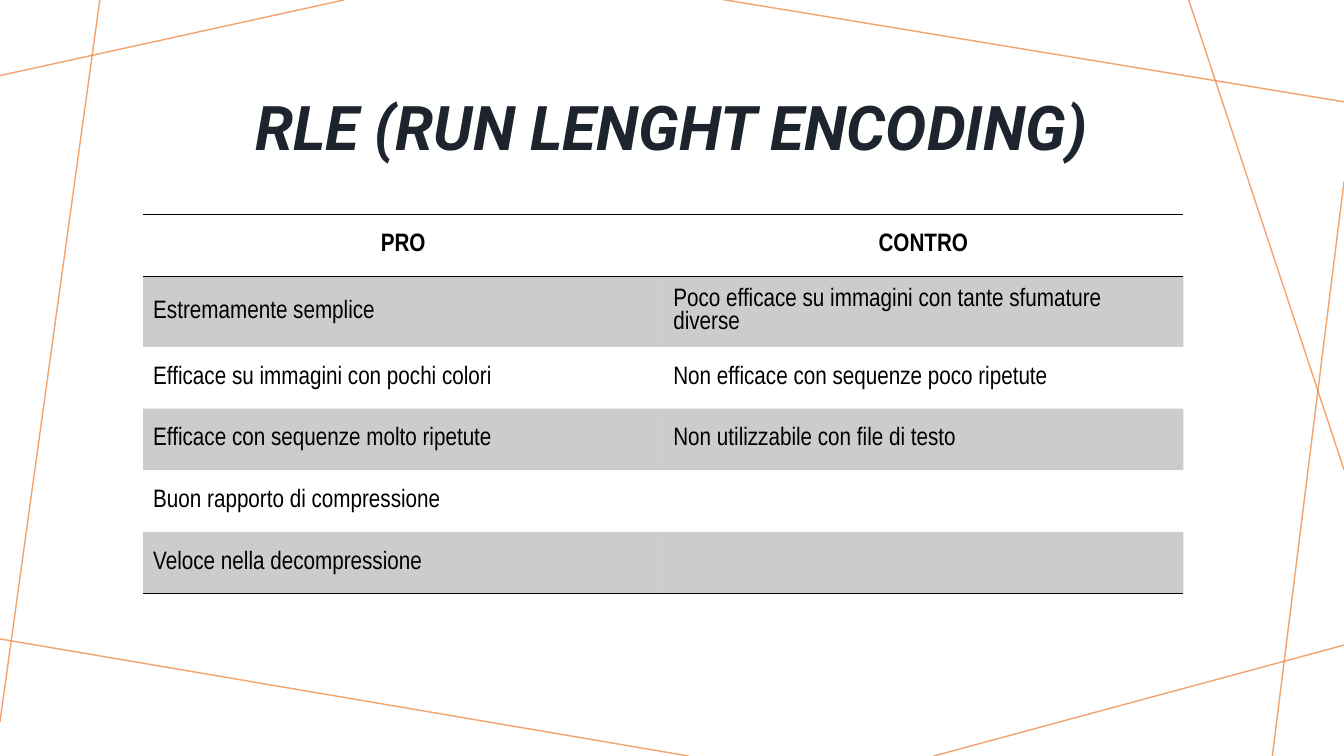
from dataclasses import dataclass

from lxml.etree import SubElement
from pptx import Presentation
from pptx.dml.color import RGBColor
from pptx.enum.shapes import MSO_CONNECTOR
from pptx.enum.text import MSO_ANCHOR, PP_ALIGN
from pptx.oxml import parse_xml
from pptx.oxml.ns import nsdecls, qn
from pptx.slide import Slide
from pptx.table import _Cell
from pptx.text.text import _Paragraph
from pptx.util import Inches, Length, Pt

PAGE_WIDTH, PAGE_HEIGHT = Inches(13.33), Inches(7.5)
PLAIN_TABLE_STYLE = "{2D5ABB26-0587-4C30-8999-92F81FD0307C}"


@dataclass(frozen=True)
class Theme:
    accent: str = "ED7D31"
    title_color: str = "1D242E"
    ink: str = "000000"
    title_font: str = "Roboto"
    table_font: str = "Arial Narrow"
    title_size: int = 44
    table_size: int = 18
    rule_width: int = 1
    accent_opacity: int = 70
    band_opacity: int = 20


@dataclass(frozen=True)
class Stroke:
    """A straight line, with its ends in percent of the page."""
    x1: float
    y1: float
    x2: float
    y2: float


@dataclass(frozen=True)
class Area:
    """A rectangle, in percent of the page."""
    left: float
    top: float
    width: float
    height: float

    def lengths(self) -> tuple[Length, Length, Length, Length]:
        return across(self.left), down(self.top), across(self.width), down(self.height)


@dataclass(frozen=True)
class Row:
    pro: str
    contro: str = ""


THEME = Theme()
TITLE = "RLE (RUN LENGHT ENCODING)"
TITLE_AREA = Area(9.38, 7.2, 81.25, 20.13)
TABLE_AREA = Area(10.65, 28.4, 77.4, 48.93)
STROKES = [
    Stroke(25.58, 0, 0, 10),
    Stroke(7.43, 0, 0, 95.47),
    Stroke(51.24, 100, -0.38, 84.4),
    Stroke(100, 85.33, 69.47, 100),
    Stroke(100, 24, 94.67, 100),
    Stroke(100, 62.13, 88.45, 0),
    Stroke(100, 13.47, 53.56, -0.13),
]
ROWS = [
    Row("PRO", "CONTRO"),
    Row("Estremamente semplice", "Poco efficace su immagini con tante sfumature diverse"),
    Row("Efficace su immagini con pochi colori", "Non efficace con sequenze poco ripetute"),
    Row("Efficace con sequenze molto ripetute", "Non utilizzabile con file di testo"),
    Row("Buon rapporto di compressione"),
    Row("Veloce nella decompressione"),
]


def across(percent: float) -> Length:
    return Length(round(PAGE_WIDTH * percent / 100))


def down(percent: float) -> Length:
    return Length(round(PAGE_HEIGHT * percent / 100))


def set_opacity(properties, percent: int) -> None:
    color = properties.find(".//" + qn("a:srgbClr"))
    SubElement(color, qn("a:alpha")).set("val", str(percent * 1000))


def style_text(para: _Paragraph, name: str, size: int, color: str,
               bold: bool = False, italic: bool = False) -> None:
    for span in para.runs:
        span.font.name = name
        span.font.size = Pt(size)
        span.font.color.rgb = RGBColor.from_string(color)
        span.font.bold = bold
        span.font.italic = italic


def draw_stroke(page: Slide, stroke: Stroke) -> None:
    line = page.shapes.add_connector(
        MSO_CONNECTOR.STRAIGHT, across(stroke.x1), down(stroke.y1),
        across(stroke.x2), down(stroke.y2))
    line.line.color.rgb = RGBColor.from_string(THEME.accent)
    line.line.width = Pt(THEME.rule_width)
    properties = line.element.spPr
    set_opacity(properties, THEME.accent_opacity)
    SubElement(properties, qn("a:effectLst"))


def draw_title(page: Slide) -> None:
    box = page.shapes.add_textbox(*TITLE_AREA.lengths())
    frame = box.text_frame
    frame.word_wrap = True
    frame.vertical_anchor = MSO_ANCHOR.MIDDLE
    frame.text = TITLE
    para = frame.paragraphs[0]
    para.alignment = PP_ALIGN.CENTER
    para.line_spacing = 0.9
    style_text(para, THEME.title_font, THEME.title_size, THEME.title_color, True, True)


def add_border(cell: _Cell, side: str) -> None:
    border = parse_xml(
        f'<a:{side} {nsdecls("a")} w="{Pt(THEME.rule_width)}"><a:solidFill>'
        f'<a:srgbClr val="{THEME.ink}"/></a:solidFill></a:{side}>')
    cell._tc.get_or_add_tcPr().insert(0, border)


def fill_cell(cell: _Cell, text: str, index: int) -> None:
    is_header = index == 0
    cell.vertical_anchor = MSO_ANCHOR.MIDDLE
    cell.text_frame.text = text
    para = cell.text_frame.paragraphs[0]
    para.alignment = PP_ALIGN.CENTER if is_header else PP_ALIGN.LEFT
    style_text(para, THEME.table_font, THEME.table_size, THEME.ink, is_header)

    # Every other row is shaded
    if index % 2:
        cell.fill.solid()
        cell.fill.fore_color.rgb = RGBColor.from_string(THEME.ink)
        set_opacity(cell._tc.tcPr, THEME.band_opacity)
    else:
        cell.fill.background()

    # Rules frame the header and close the table
    if is_header or index == len(ROWS) - 1:
        add_border(cell, "lnB")
    if is_header:
        add_border(cell, "lnT")


def draw_table(page: Slide) -> None:
    frame = page.shapes.add_table(len(ROWS), 2, *TABLE_AREA.lengths())
    table = frame.table
    table.horz_banding = False
    table._tbl.tblPr.find(qn("a:tableStyleId")).text = PLAIN_TABLE_STYLE
    for index, row in enumerate(ROWS):
        for column, text in enumerate((row.pro, row.contro)):
            fill_cell(table.cell(index, column), text, index)


def main() -> None:
    deck = Presentation()
    deck.slide_width, deck.slide_height = PAGE_WIDTH, PAGE_HEIGHT
    page = deck.slides.add_slide(deck.slide_layouts[6])

    # Background lines
    for stroke in STROKES:
        draw_stroke(page, stroke)

    # Content
    draw_title(page)
    draw_table(page)
    deck.save("out.pptx")


if __name__ == "__main__":
    main()
